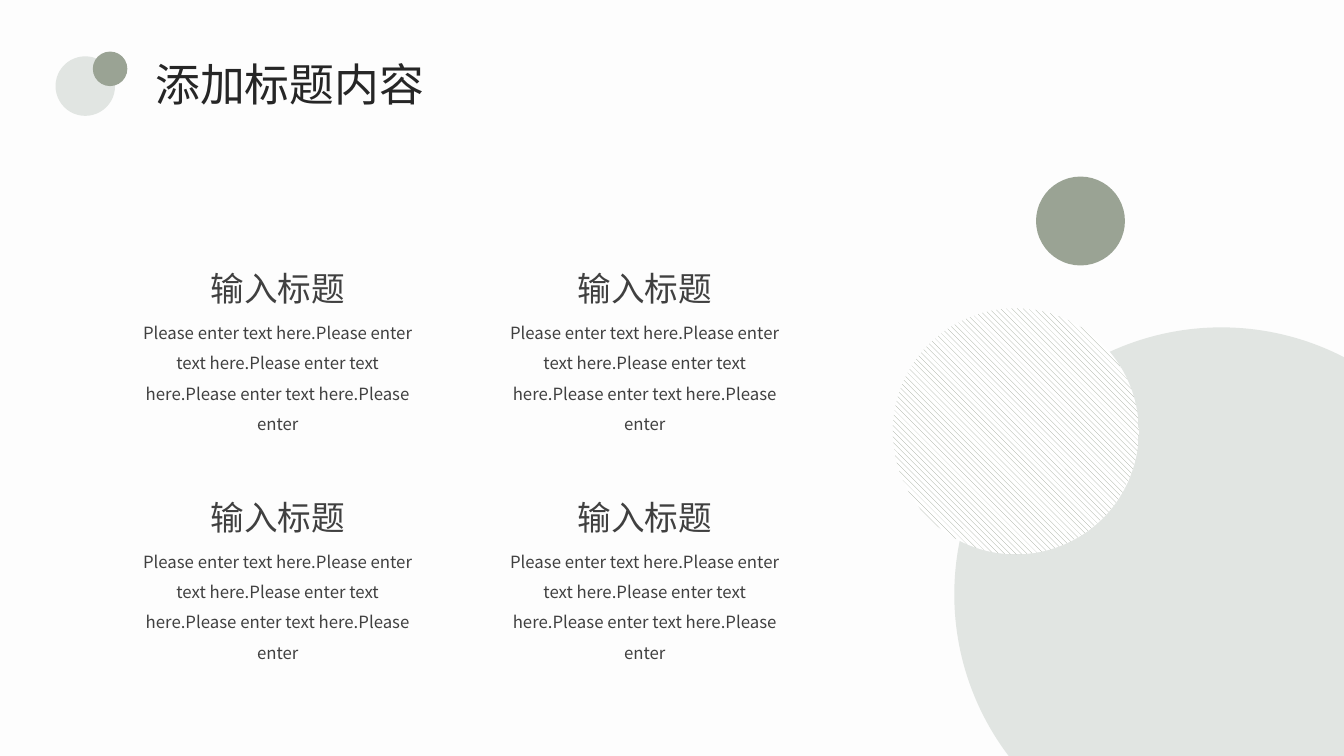
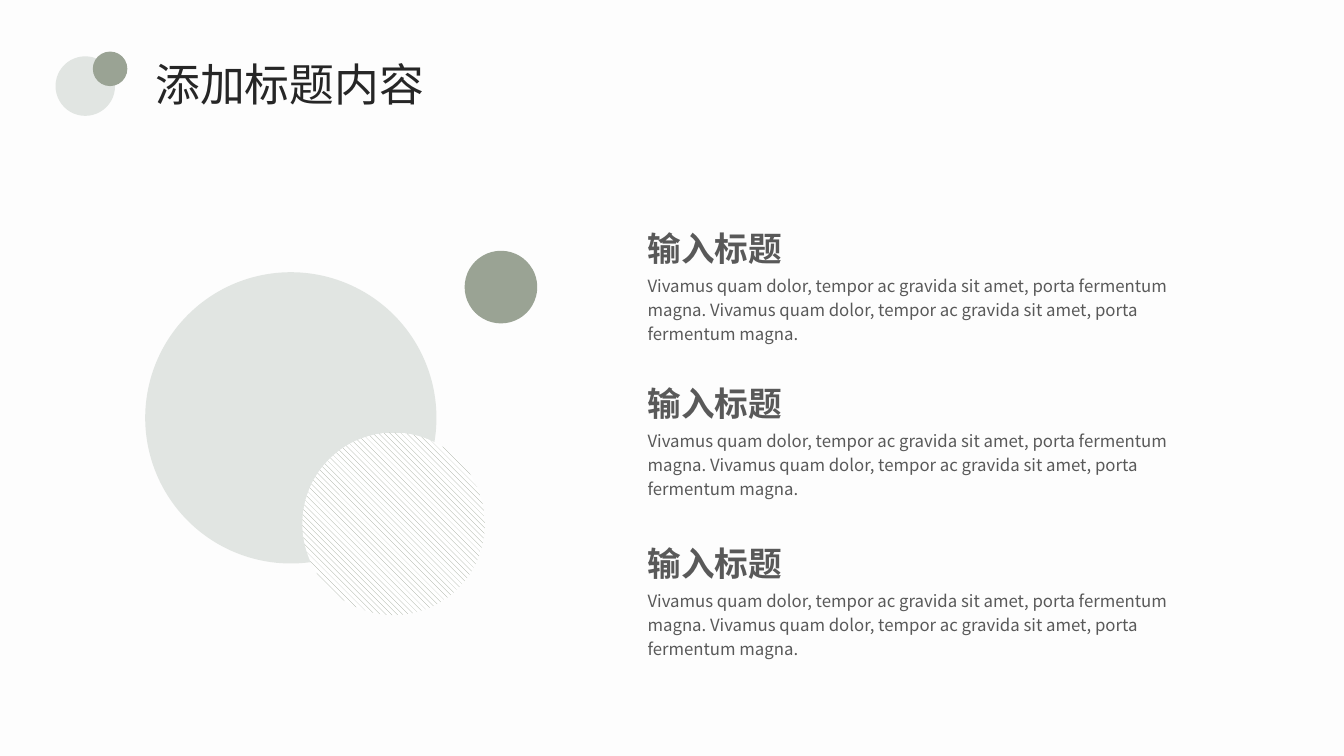
import pptx
from pptx.dml.color import RGBColor
from pptx.enum.dml import MSO_PATTERN
from pptx.enum.shapes import MSO_SHAPE
from pptx.enum.text import MSO_ANCHOR, MSO_AUTO_SIZE, PP_ALIGN
from pptx.oxml import parse_xml
from pptx.oxml.ns import nsdecls
from pptx.util import Cm, Pt

BACKGROUND = RGBColor(0xFD, 0xFD, 0xFD)
WHITE = RGBColor(0xFF, 0xFF, 0xFF)
MIST = RGBColor(0xE1, 0xE5, 0xE2)
SAGE = RGBColor(0x9A, 0xA3, 0x94)
TITLE_COLOR = RGBColor(0x26, 0x26, 0x26)
CARD_COLOR = RGBColor(0x40, 0x40, 0x40)
LIST_COLOR = RGBColor(0x59, 0x59, 0x59)
FONT = "Noto Sans CJK SC"

HEADING = "输入标题"
CARD_TEXT = "Please enter text here." * 4 + "Please enter"
LIST_TEXT = " ".join(
    ["Vivamus quam dolor, tempor ac gravida sit amet, porta fermentum magna."] * 2
)


def write_text(shape, text, size, color, alignment=PP_ALIGN.LEFT, spacing=1.0, bold=False):
    shape.text_frame.text = text
    paragraph = shape.text_frame.paragraphs[0]
    paragraph.alignment = alignment
    paragraph.line_spacing = spacing
    font = paragraph.runs[0].font
    font.name = FONT
    font.size = Pt(size)
    font.bold = bold
    font.color.rgb = color
    font._element.find(pptx.oxml.ns.qn("a:latin")).addnext(
        parse_xml(f'<a:ea {nsdecls("a")} typeface="{FONT}"/>')
    )
    shape.text_frame.word_wrap = True
    shape.text_frame.auto_size = MSO_AUTO_SIZE.SHAPE_TO_FIT_TEXT


def add_circle(shapes, left, top, diameter, color, hatched=False):
    circle = shapes.add_shape(MSO_SHAPE.OVAL, Cm(left), Cm(top), Cm(diameter), Cm(diameter))
    circle.shadow.inherit = False
    circle.line.fill.background()
    if hatched:
        circle.fill.patterned()
        circle.fill.pattern = MSO_PATTERN.WIDE_DOWNWARD_DIAGONAL
        circle.fill.fore_color.rgb = color
        circle.fill.back_color.rgb = WHITE
    else:
        circle.fill.solid()
        circle.fill.fore_color.rgb = color


presentation = pptx.Presentation()
presentation.slide_width = Cm(33.87)
presentation.slide_height = Cm(19.05)

master_fill = presentation.slide_master.background.fill
master_fill.solid()
master_fill.fore_color.rgb = BACKGROUND

layout = presentation.slide_layouts.get_by_name("Title Only")
layout_title = layout.placeholders[0]
layout_title.left, layout_title.top = Cm(3.66), Cm(1.3)
layout_title.width, layout_title.height = Cm(7.34), Cm(1.63)
layout_title.text_frame.vertical_anchor = MSO_ANCHOR.MIDDLE

slides = [presentation.slides.add_slide(layout) for _ in range(2)]
for slide in slides:
    title = slide.shapes.title
    write_text(title, "添加标题内容", 32, TITLE_COLOR)
    title.text_frame.word_wrap = False
    title.text_frame.auto_size = MSO_AUTO_SIZE.NONE
    emblem = slide.shapes.add_group_shape()
    add_circle(emblem.shapes, 1.4, 1.42, 1.5, MIST)
    add_circle(emblem.shapes, 2.34, 1.3, 0.87, SAGE)

cards_slide, list_slide = slides

for row in range(2):
    for column in range(2):
        left = 3.07 + column * 9.25
        top = 6.12 + row * 5.76
        heading = cards_slide.shapes.add_textbox(Cm(left), Cm(top), Cm(7.86), Cm(1.63))
        write_text(heading, HEADING, 24, CARD_COLOR, PP_ALIGN.CENTER, 1.5)
        body = cards_slide.shapes.add_textbox(Cm(left + 0.07), Cm(top + 1.64), Cm(7.72), Cm(2.49))
        write_text(body, CARD_TEXT, 12, CARD_COLOR, PP_ALIGN.CENTER, 1.5)

add_circle(cards_slide.shapes, 26.11, 4.45, 2.24, SAGE)
add_circle(cards_slide.shapes, 24.05, 8.25, 13.46, MIST)
add_circle(cards_slide.shapes, 22.5, 7.77, 6.2, SAGE, hatched=True)

for top in (5.41, 9.32, 13.36):
    heading = list_slide.shapes.add_textbox(Cm(16.07), Cm(top), Cm(15.11), Cm(1.45))
    write_text(heading, HEADING, 24, LIST_COLOR, spacing=1.2, bold=True)
    body = list_slide.shapes.add_textbox(Cm(16.07), Cm(top + 1.3), Cm(15.11), Cm(1.45))
    write_text(body, LIST_TEXT, 12, LIST_COLOR, spacing=1.2)

add_circle(list_slide.shapes, 3.66, 6.86, 7.34, MIST)
add_circle(list_slide.shapes, 7.62, 10.9, 4.6, SAGE, hatched=True)
add_circle(list_slide.shapes, 11.71, 6.32, 1.83, SAGE)

presentation.save("out.pptx")
